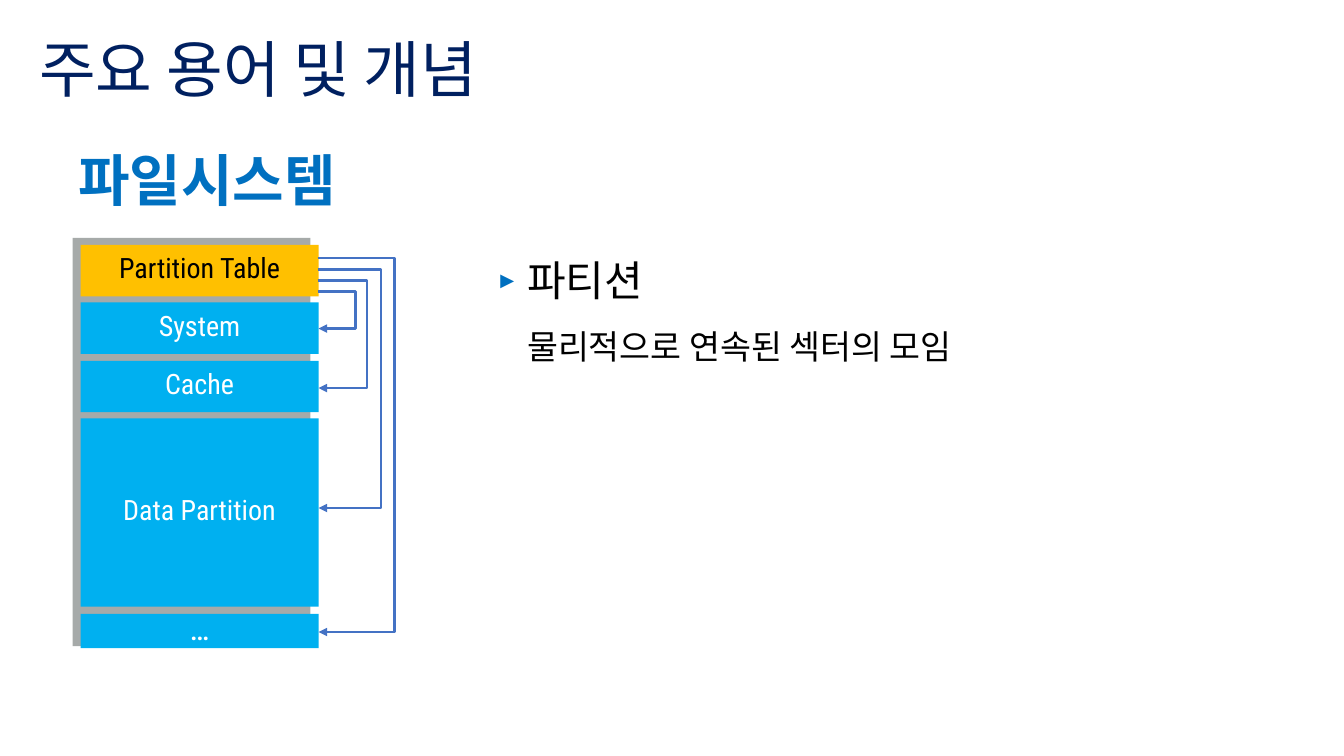
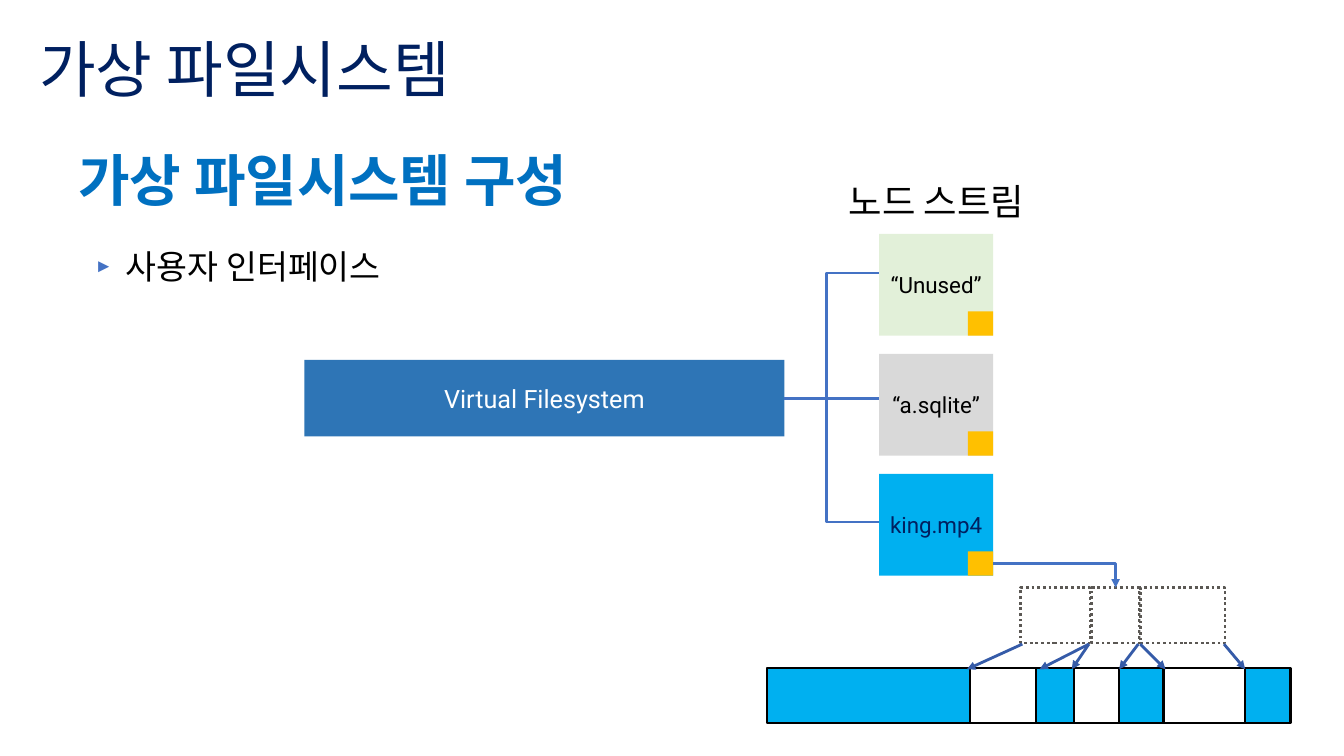
"""Build two slides on file system terms and the virtual file system."""
import lxml.etree
import pptx
import pptx.dml.color
import pptx.enum.dml
import pptx.enum.shapes
import pptx.enum.text
import pptx.oxml.ns
import pptx.util

Inches = pptx.util.Inches
Pt = pptx.util.Pt
qn = pptx.oxml.ns.qn
RGB = pptx.dml.color.RGBColor.from_string
MIDDLE = pptx.enum.text.MSO_ANCHOR.MIDDLE
CENTER = pptx.enum.text.PP_ALIGN.CENTER
CONNECTOR = pptx.enum.shapes.MSO_CONNECTOR
SIDES = ("margin_left", "margin_top", "margin_right", "margin_bottom")

LABEL_FRAME = {"vertical_anchor": MIDDLE, **dict.fromkeys(SIDES, Inches(0.06))}
NODE_FRAME = {"vertical_anchor": MIDDLE, **dict.fromkeys(SIDES, Inches(0.04))}
THEME = {
    "colours": {
        "navy": "002060", "heading": "0070C0", "black": "000000", "white": "FFFFFF",
        "sky": "00B0F0", "amber": "FFC000", "grey": "A6AAA9", "silver": "D9D9D9",
        "mint": "E2F0D9", "steel": "2E75B6", "connector": "4472C4",
        "extent": "355BA8", "dots": "5B5854",
    },
    "text": {
        "title": {"sizes": (44,), "colour": "navy", "font": {"name": "Cabin"},
                  "frame": {"vertical_anchor": MIDDLE}, "paragraph": {"line_spacing": 0.9}},
        "heading": {"sizes": (40,), "colour": "heading", "font": {"name": "Roboto", "bold": True},
                    "paragraph": {"line_spacing": 0.8}},
        "term": {"sizes": (30, 24), "colour": "black", "font": {"name": "Roboto"},
                 "paragraph": {"line_spacing": 1.5}, "bullet": ("heading", 0.75)},
        "point": {"sizes": (24,), "colour": "black", "font": {"name": "Roboto"},
                  "paragraph": {"line_spacing": 1.5}, "bullet": ("connector", 0.31)},
        "caption": {"sizes": (26,), "colour": "black", "font": {"name": "Arial"}},
        "block": {"sizes": (20,), "colour": "white", "font": {"name": "Roboto Condensed"},
                  "frame": LABEL_FRAME, "paragraph": {"line_spacing": 0.8, "alignment": CENTER}},
        "filesystem": {"sizes": (18,), "colour": "white", "font": {"name": "Roboto"},
                       "frame": LABEL_FRAME, "paragraph": {"alignment": CENTER}},
        "node": {"sizes": (16,), "colour": "black", "font": {"name": "Roboto"},
                 "frame": NODE_FRAME, "paragraph": {"alignment": CENTER}},
    },
}
COLOURS = THEME["colours"]


def add_box(slide, place, text="", style="block", fill=None, border=None, **changes):
    """Add a text box, or a rectangle when a fill is given."""
    bounds = [Inches(length) for length in place]
    if fill is None:
        shape = slide.shapes.add_textbox(*bounds)
    else:
        shape = slide.shapes.add_shape(pptx.enum.shapes.MSO_SHAPE.RECTANGLE, *bounds)
        shape.shadow.inherit = False
        shape.fill.solid()
        shape.fill.fore_color.rgb = RGB(COLOURS[fill])
        if border:
            colour, width, dash = border
            shape.line.color.rgb = RGB(COLOURS[colour])
            shape.line.width = Pt(width)
            shape.line.dash_style = dash
        else:
            shape.line.fill.background()
    if not text:
        return shape
    look = {**THEME["text"][style], **changes}
    frame = shape.text_frame
    paragraph = frame.paragraphs[0]
    if "bullet" in look:
        colour, margin = look["bullet"]
        properties = paragraph._p.get_or_add_pPr()
        properties.set("marL", str(Inches(margin)))
        properties.set("indent", str(-Inches(0.31)))
        bullet_colour = lxml.etree.SubElement(properties, qn("a:buClr"))
        lxml.etree.SubElement(bullet_colour, qn("a:srgbClr"), val=COLOURS[colour])
        lxml.etree.SubElement(properties, qn("a:buSzPct"), val="55000")
        lxml.etree.SubElement(properties, qn("a:buFont"), typeface="Arial")
        lxml.etree.SubElement(properties, qn("a:buChar"), char="►")
    formats = [(frame, {"word_wrap": True, **look.get("frame", {})}),
               (paragraph, look.get("paragraph", {}))]
    for index, (line, size) in enumerate(zip(text.split("\v"), look["sizes"])):
        if index:
            paragraph.add_line_break()
        run = paragraph.add_run()
        run.text = line
        run.font.color.rgb = RGB(COLOURS[look["colour"]])
        formats.append((run.font, {"size": Pt(size), **look["font"]}))
    for target, values in formats:
        for name, value in values.items():
            setattr(target, name, value)
    return shape


def style_line(shape, colour="connector", arrow=True):
    """Give a line its colour, width and arrowhead, without a shadow."""
    shape.line.color.rgb = RGB(COLOURS[colour])
    shape.line.width = Pt(2)
    properties = shape._element.spPr
    if arrow:
        lxml.etree.SubElement(properties.find(qn("a:ln")), qn("a:tailEnd"), type="triangle")
    lxml.etree.SubElement(properties, qn("a:effectLst"))


presentation = pptx.Presentation()
presentation.slide_width = Inches(13.33)
presentation.slide_height = Inches(7.5)
slides = []
for title, heading in (("주요 용어 및 개념", "파일시스템"),
                       ("가상 파일시스템", "가상 파일시스템 구성")):
    slide = presentation.slides.add_slide(presentation.slide_layouts[6])
    add_box(slide, (0.29, 0.22, 11.42, 0.99), title, "title")
    add_box(slide, (0.68, 1.52, 12.21, 0.71), heading, "heading")
    slides.append(slide)
terms_slide, virtual_slide = slides

add_box(terms_slide, (4.38, 2.23, 8.53, 3.76), "파티션\v물리적으로 연속된 섹터의 모임", "term")
add_box(terms_slide, (0.72, 2.36, 2.36, 4.05), fill="grey")
add_box(terms_slide, (0.8, 2.43, 2.36, 0.51), "Partition Table", fill="amber", colour="black")
partitions = (
    ("System", 3, 0.51, 20, 3.53, 3.26),
    ("Cache", 3.58, 0.51, 20, 3.64, 3.85),
    ("Data Partition", 4.15, 1.87, 20, 3.78, 5.04),
    ("…", 6.09, 0.34, 24, 3.91, 6.27),
)
for index, (name, top, height, size, turn, target) in enumerate(partitions):
    add_box(terms_slide, (0.8, top, 2.36, height), name, fill="sky", sizes=(size,))
    start = 2.89 - 0.11 * index
    points = [(Inches(x), Inches(y)) for x, y in
              ((3.15, start), (turn, start), (turn, target), (3.16, target))]
    builder = terms_slide.shapes.build_freeform(*points[0], scale=1.0)
    builder.add_line_segments(points[1:], close=False)
    pointer = builder.convert_to_shape()
    pointer.fill.background()
    style_line(pointer)

add_box(virtual_slide, (0.84, 2.19, 11.42, 4.95), "사용자 인터페이스", "point")
add_box(virtual_slide, (8.32, 1.73, 2, 0.54), "노드 스트림", "caption")

bracket = virtual_slide.shapes.add_connector(
    CONNECTOR.ELBOW, Inches(9.29), Inches(5.18), Inches(9.31), Inches(2.71))
bend = bracket._element.spPr.find(qn("a:prstGeom")).get_or_add_avLst()
lxml.etree.SubElement(bend, qn("a:gd"), name="adj1", fmla="val -5450000")
style_line(bracket, arrow=False)

filesystem = add_box(virtual_slide, (3.02, 3.57, 4.76, 0.76), "Virtual Filesystem",
                     "filesystem", "steel")
stem = virtual_slide.shapes.add_connector(
    CONNECTOR.STRAIGHT, Inches(7.78), Inches(3.95), Inches(8.72), Inches(3.95))
stem.begin_connect(filesystem, 3)
style_line(stem, arrow=False)

nodes = (("“Unused”", "mint", "black"), ("“a.sqlite”", "silver", "black"),
         ("king.mp4", "sky", "navy"))
for index, (name, fill, colour) in enumerate(nodes):
    top = 2.32 + 1.19 * index
    add_box(virtual_slide, (8.72, top, 1.13, 1.01), name, "node", fill, colour=colour)
    stream = add_box(virtual_slide, (9.6, top + 0.77, 0.25, 0.24), fill="amber")

for left, width, fill in ((7.61, 5.19, "sky"), (9.62, 0.66, "white"),
                          (10.65, 0.45, "white"), (11.54, 0.81, "white")):
    add_box(virtual_slide, (left, 6.63, width, 0.54), fill=fill,
            border=("black", 1.5, pptx.enum.dml.MSO_LINE.SOLID))
extents = [
    add_box(virtual_slide, (left, 5.83, width, 0.55), fill="white",
            border=("dots", 2, pptx.enum.dml.MSO_LINE.ROUND_DOT))
    for left, width in ((10.12, 0.69), (10.83, 0.47), (11.31, 0.84))
]
for start, end in ((10.14, 9.59), (10.8, 10.31), (10.8, 10.63),
                   (11.29, 11.1), (11.31, 11.56), (12.14, 12.35)):
    extent_arrow = virtual_slide.shapes.add_connector(
        CONNECTOR.STRAIGHT, Inches(start), Inches(6.39), Inches(end), Inches(6.64))
    style_line(extent_arrow, "extent")

stream_arrow = virtual_slide.shapes.add_connector(
    CONNECTOR.ELBOW, Inches(9.85), Inches(5.58), Inches(11.06), Inches(5.83))
stream_arrow._element.spPr.find(qn("a:prstGeom")).set("prst", "bentConnector2")
stream_arrow.begin_connect(stream, 3)
stream_arrow.end_connect(extents[1], 0)
style_line(stream_arrow)

presentation.save("out.pptx")
